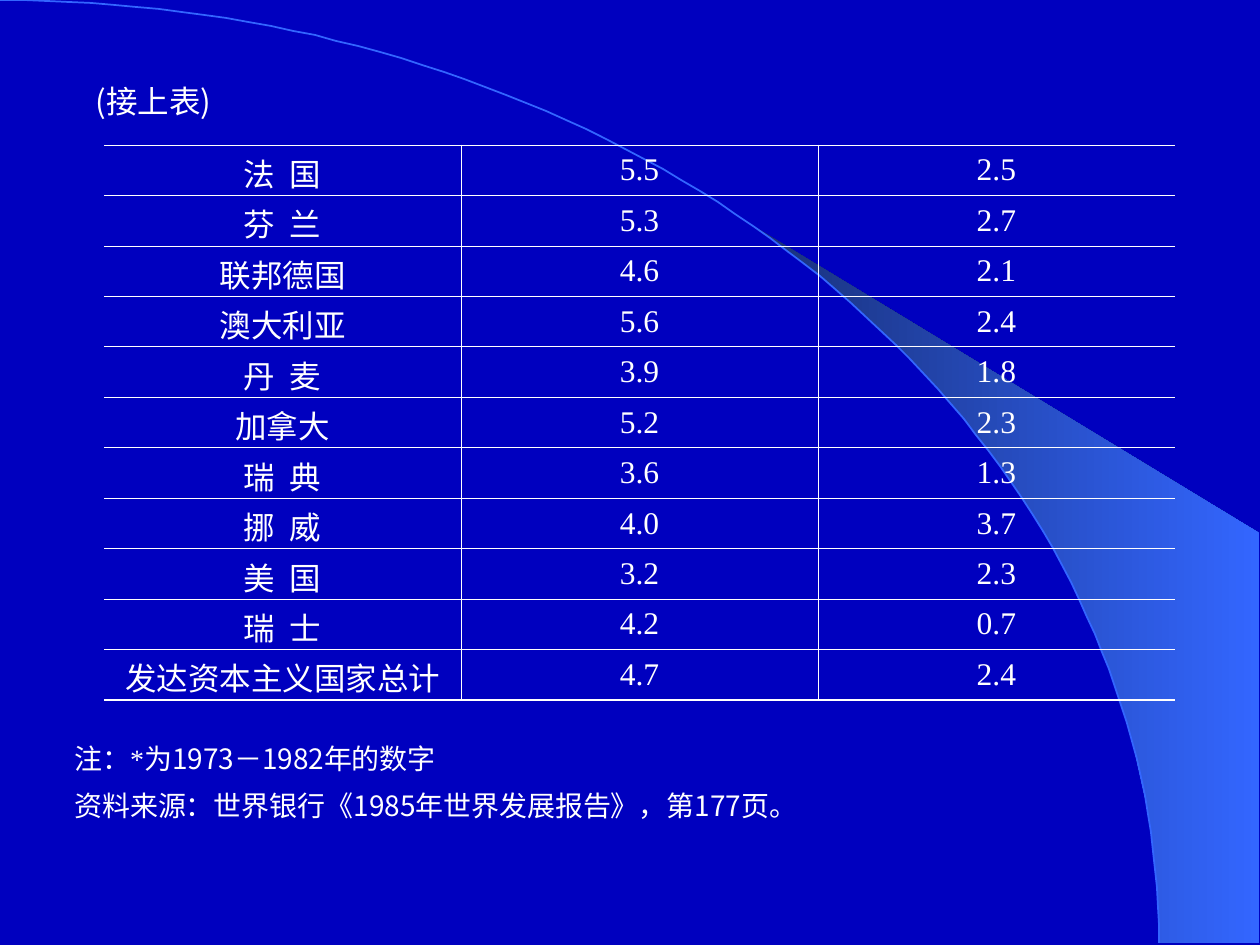
"""Builds the continued growth-rate table slide with its sweeping arc backdrop."""
from math import cos, pi, sin

from lxml.etree import SubElement
from pptx import Presentation
from pptx.dml.color import RGBColor
from pptx.enum.text import MSO_ANCHOR as Anchor, MSO_AUTO_SIZE as AutoSize, PP_ALIGN as Align
from pptx.oxml.ns import qn
from pptx.util import Emu, Pt

HEADING = "(接上表)"
ROWS = [
    ("法  国", "5.5", "2.5"),
    ("芬  兰", "5.3", "2.7"),
    ("联邦德国", "4.6", "2.1"),
    ("澳大利亚", "5.6", "2.4"),
    ("丹  麦", "3.9", "1.8"),
    ("加拿大", "5.2", "2.3"),
    ("瑞  典", "3.6", "1.3"),
    ("挪  威", "4.0", "3.7"),
    ("美  国", "3.2", "2.3"),
    ("瑞  士", "4.2", "0.7"),
    ("发达资本主义国家总计", "4.7", "2.4"),
]
CHINESE, LATIN = "Noto Sans CJK SC", "Times New Roman"
NOTES = [
    [("注：", CHINESE), ("*", LATIN), ("为1973－1982年的数字", CHINESE)],
    [("资料来源：世界银行《1985年世界发展报告》，第177页", CHINESE), ("。", LATIN)],
]
NAVY, BLUE, DARK, WHITE = "0000BF", "3366FF", "182F76", "FFFFFF"
PIXEL = 914400 / 126
ARC_WIDTH, ARC_HEIGHT = 1159, 943
BAND_START, BAND_RIGHT, BAND_TOP = 0.695, 1259, 533
TABLE_BOX = (104, 145, 1071, 555)
HEADING_BOX = (83, 76, 173, 50)
NOTES_BOX = (62, 722, 784, 107)


def px(value):
    return Emu(round(value * PIXEL))


def color(value):
    return RGBColor.from_string(value)


def add_run(paragraph, text, font=CHINESE, size=18):
    run = paragraph.add_run()
    run.text = text
    run.font.size, run.font.name, run.font.bold = Pt(size), font, False
    run.font.color.rgb = color(WHITE)
    SubElement(run.font._element, qn("a:ea")).set("typeface", CHINESE)


def arc_points(start, steps):
    angles = [start + (pi / 2 - start) * step / steps for step in range(steps + 1)]
    return [(ARC_WIDTH * sin(a), ARC_HEIGHT * (1 - cos(a))) for a in angles]


def add_outline(slide, points, close):
    builder = slide.shapes.build_freeform(*points[0], scale=PIXEL)
    builder.add_line_segments(points[1:], close=close)
    shape = builder.convert_to_shape()
    shape.shadow.inherit = False
    return shape


def add_backdrop(slide):
    slide.background.fill.solid()
    slide.background.fill.fore_color.rgb = color(NAVY)
    corners = [(BAND_RIGHT, ARC_HEIGHT), (BAND_RIGHT, BAND_TOP)]
    band = add_outline(slide, arc_points(BAND_START, 30) + corners, True)
    band.fill.gradient()
    band.fill.gradient_angle = 0
    for stop, value in zip(band.fill.gradient_stops, (DARK, BLUE)):
        stop.color.rgb = color(value)
    band.line.fill.background()
    arc = add_outline(slide, arc_points(0, 80), False)
    arc.fill.background()
    arc.line.color.rgb = color(BLUE)
    arc.line.width = Pt(1)


def set_border(cell, side, width):
    line = SubElement(cell._tc.get_or_add_tcPr(), qn(f"a:ln{side}"), w=str(Pt(width)))
    fill = SubElement(line, qn("a:solidFill"))
    SubElement(fill, qn("a:srgbClr"), val=WHITE)


def add_rates_table(slide):
    row_count, column_count = len(ROWS), len(ROWS[0])
    frame = slide.shapes.add_table(row_count, column_count, *map(px, TABLE_BOX))
    table = frame.table
    table.first_row = table.horz_banding = False
    style = table._tbl.tblPr.find(qn("a:tableStyleId"))
    style.text = "{2D5ABB26-0587-4C30-8999-92F81FD0307C}"
    for column in table.columns:
        column.width = px(TABLE_BOX[2] / column_count)
    for row_index, values in enumerate(ROWS):
        table.rows[row_index].height = px(TABLE_BOX[3] / row_count)
        for column_index, text in enumerate(values):
            cell = table.cell(row_index, column_index)
            is_name = column_index == 0
            cell.margin_top = cell.margin_bottom = 0
            cell.vertical_anchor = Anchor.BOTTOM if is_name else Anchor.MIDDLE
            paragraph = cell.text_frame.paragraphs[0]
            paragraph.alignment = Align.CENTER
            add_run(paragraph, text, font=CHINESE if is_name else LATIN)
            if column_index > 0:
                set_border(cell, "L", 0.45)
            if column_index < column_count - 1:
                set_border(cell, "R", 0.45)
            set_border(cell, "T", 0.45)
            set_border(cell, "B", 1.08 if row_index == row_count - 1 else 0.45)
            cell.fill.background()


def add_heading(slide):
    title = slide.shapes.title
    title.left, title.top, title.width, title.height = map(px, HEADING_BOX)
    frame = title.text_frame
    frame.auto_size, frame.word_wrap = AutoSize.NONE, True
    frame.vertical_anchor = Anchor.TOP
    paragraph = frame.paragraphs[0]
    paragraph.alignment = Align.LEFT
    add_run(paragraph, HEADING)


def add_notes(slide):
    frame = slide.shapes.add_textbox(*map(px, NOTES_BOX)).text_frame
    frame.word_wrap = True
    for index, runs in enumerate(NOTES):
        paragraph = frame.add_paragraph() if index else frame.paragraphs[0]
        paragraph.line_spacing = 1.4
        for text, font in runs:
            add_run(paragraph, text, font=font, size=16)


def main():
    presentation = Presentation()
    presentation.slide_width, presentation.slide_height = px(1260), px(945)
    slide = presentation.slides.add_slide(presentation.slide_layouts[5])
    add_backdrop(slide)
    add_rates_table(slide)
    add_notes(slide)
    add_heading(slide)
    presentation.save("out.pptx")


if __name__ == "__main__":
    main()
